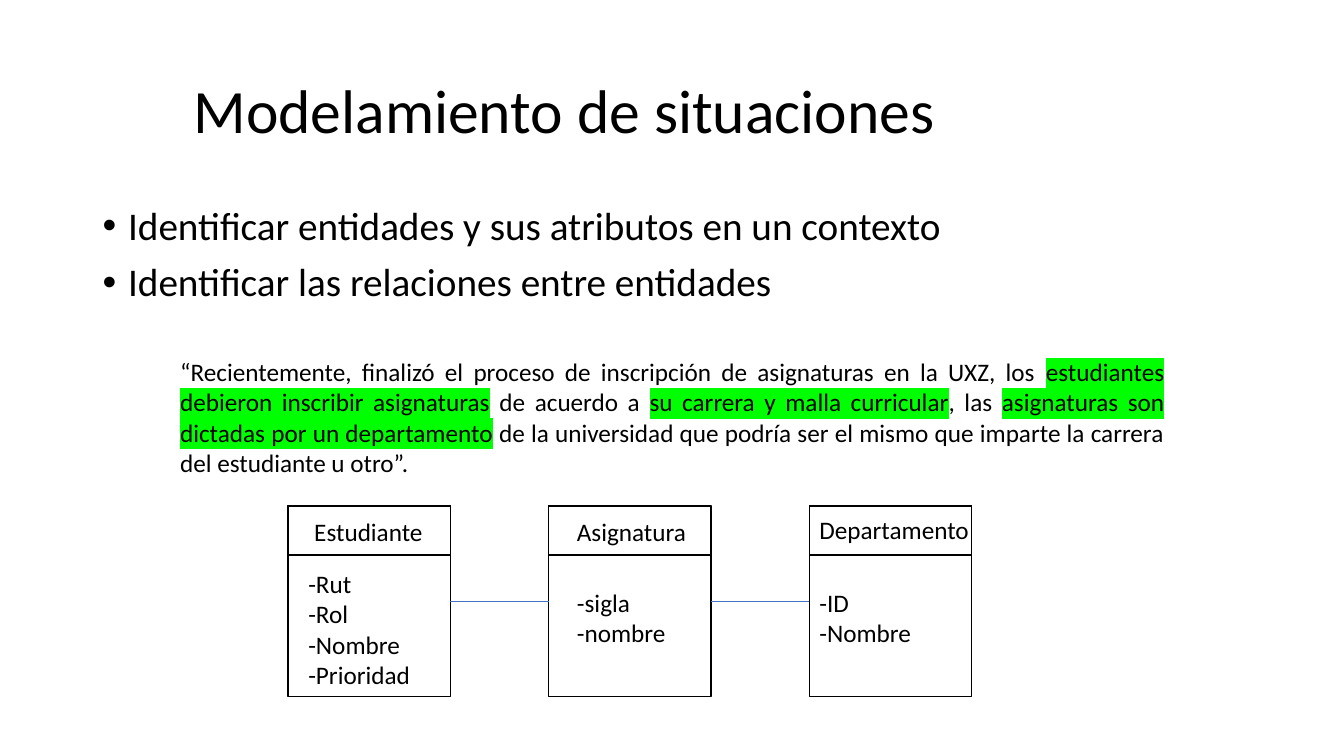
from lxml import etree
from pptx import Presentation
from pptx.dml.color import RGBColor
from pptx.enum.shapes import MSO_CONNECTOR, MSO_SHAPE
from pptx.enum.text import MSO_ANCHOR, PP_ALIGN
from pptx.oxml.ns import qn
from pptx.util import Cm, Pt

STRAIGHT = MSO_CONNECTOR.STRAIGHT
RECTANGLE = MSO_SHAPE.RECTANGLE
MIDDLE = MSO_ANCHOR.MIDDLE
LEFT, JUSTIFY = PP_ALIGN.LEFT, PP_ALIGN.JUSTIFY

FONT = "Calibri"
COLORS = {"text": "000000", "outline": "000000", "relation": "4472C4", "highlight": "00FF00"}

TITLE = "Modelamiento de situaciones"
GOALS = [
    "Identificar entidades y sus atributos en un contexto",
    "Identificar las relaciones entre entidades",
]
# Each part of the quote: wording, highlighted or not
QUOTE = [
    ("“Recientemente, finalizó el proceso de inscripción de asignaturas en la UXZ, los ", False),
    ("estudiantes debieron inscribir asignaturas", True),
    (" de acuerdo a ", False),
    ("su carrera y malla curricular", True),
    (", las ", False),
    ("asignaturas son dictadas por un departamento", True),
    (" de la universidad que podría ser el mismo que imparte la carrera del estudiante u otro”.", False),
]
# Each entity: name, offset of the name, attributes, offset of the attributes
ENTITIES = [
    ("Estudiante", (0.41, 0.13), ["-Rut", "-Rol", "-Nombre", "-Prioridad"], (0.26, 1.45)),
    ("Asignatura", (0.46, 0.13), ["-sigla", "-nombre"], (0.46, 1.93)),
    ("Departamento", (0, 0.08), ["-ID", "-Nombre"], (0, 1.93)),
]
ENTITY_LEFT, ENTITY_TOP, ENTITY_STEP = 7.26, 12.75, 6.57
ENTITY_WIDTH, ENTITY_HEIGHT, HEADER_HEIGHT = 4.09, 4.8, 1.24
RELATION_TOP = 15.15


class SlideBuilder:
    def __init__(self, slide):
        self.slide = slide

    def format_run(self, run, size, highlighted=False):
        run.font.name = FONT
        run.font.size = Pt(size)
        run.font.color.rgb = RGBColor.from_string(COLORS["text"])
        if highlighted:
            highlight = etree.Element(qn("a:highlight"))
            etree.SubElement(highlight, qn("a:srgbClr"), val=COLORS["highlight"])
            run.font._element.find(qn("a:solidFill")).addnext(highlight)

    def title(self, text, left, top, width, height):
        shape = self.slide.shapes.title
        shape.left, shape.top, shape.width, shape.height = map(Cm, (left, top, width, height))
        shape.text_frame.text = text
        shape.text_frame.vertical_anchor = MIDDLE
        paragraph = shape.text_frame.paragraphs[0]
        paragraph.alignment = LEFT
        paragraph.line_spacing = 0.9
        self.format_run(paragraph.runs[0], 44)

    def text(self, lines, left, top, width, height, size=18):
        shape = self.slide.shapes.add_textbox(*map(Cm, (left, top, width, height)))
        frame = shape.text_frame
        frame.word_wrap = True
        frame.text = "\n".join(lines)
        for paragraph in frame.paragraphs:
            for run in paragraph.runs:
                self.format_run(run, size)
        return frame

    def bullets(self, lines, left, top, width, height):
        frame = self.text(lines, left, top, width, height, size=28)
        for paragraph in frame.paragraphs:
            paragraph.line_spacing = 0.9
            paragraph.space_before = Pt(10)
            properties = paragraph._p.get_or_add_pPr()
            properties.set("marL", str(Cm(0.64)))
            properties.set("indent", str(-Cm(0.64)))
            etree.SubElement(properties, qn("a:buFont"), typeface="Arial")
            etree.SubElement(properties, qn("a:buChar"), char="•")

    def quote(self, parts, left, top, width, height):
        paragraph = self.text([], left, top, width, height).paragraphs[0]
        paragraph.alignment = JUSTIFY
        for wording, highlighted in parts:
            run = paragraph.add_run()
            run.text = wording
            self.format_run(run, 18, highlighted)

    def outline(self, left, top, width, height):
        shape = self.slide.shapes.add_shape(RECTANGLE, *map(Cm, (left, top, width, height)))
        shape.shadow.inherit = False
        shape.fill.background()
        shape.line.color.rgb = RGBColor.from_string(COLORS["outline"])
        shape.line.width = Pt(1)

    def entity(self, left, name, name_offset, attributes, attributes_offset):
        for height in (ENTITY_HEIGHT, HEADER_HEIGHT):
            self.outline(left, ENTITY_TOP, ENTITY_WIDTH, height)
        for lines, (x, y), width, height in (
            ([name], name_offset, 4.39, 1.02),
            (attributes, attributes_offset, 3.28, 0.26 + 0.77 * len(attributes)),
        ):
            self.text(lines, left + x, ENTITY_TOP + y, width, height)

    def relation(self, start, end):
        connector = self.slide.shapes.add_connector(
            STRAIGHT, Cm(start), Cm(RELATION_TOP), Cm(end), Cm(RELATION_TOP))
        connector.line.color.rgb = RGBColor.from_string(COLORS["relation"])
        connector.line.width = Pt(0.5)
        etree.SubElement(connector._element.spPr, qn("a:effectLst"))


def main():
    presentation = Presentation()
    presentation.slide_width, presentation.slide_height = Cm(33.87), Cm(19.05)
    builder = SlideBuilder(presentation.slides.add_slide(presentation.slide_layouts[5]))

    builder.title(TITLE, 4.62, 1.02, 26.9, 3.68)
    builder.bullets(GOALS, 2.34, 5.08, 29.21, 12.09)
    builder.quote(QUOTE, 4.29, 8.86, 25.3, 3.33)

    for index, entity in enumerate(ENTITIES):
        left = ENTITY_LEFT + index * ENTITY_STEP
        builder.entity(left, *entity)
        if index > 0:
            builder.relation(left - ENTITY_STEP + ENTITY_WIDTH, left)

    presentation.save("out.pptx")


if __name__ == "__main__":
    main()
